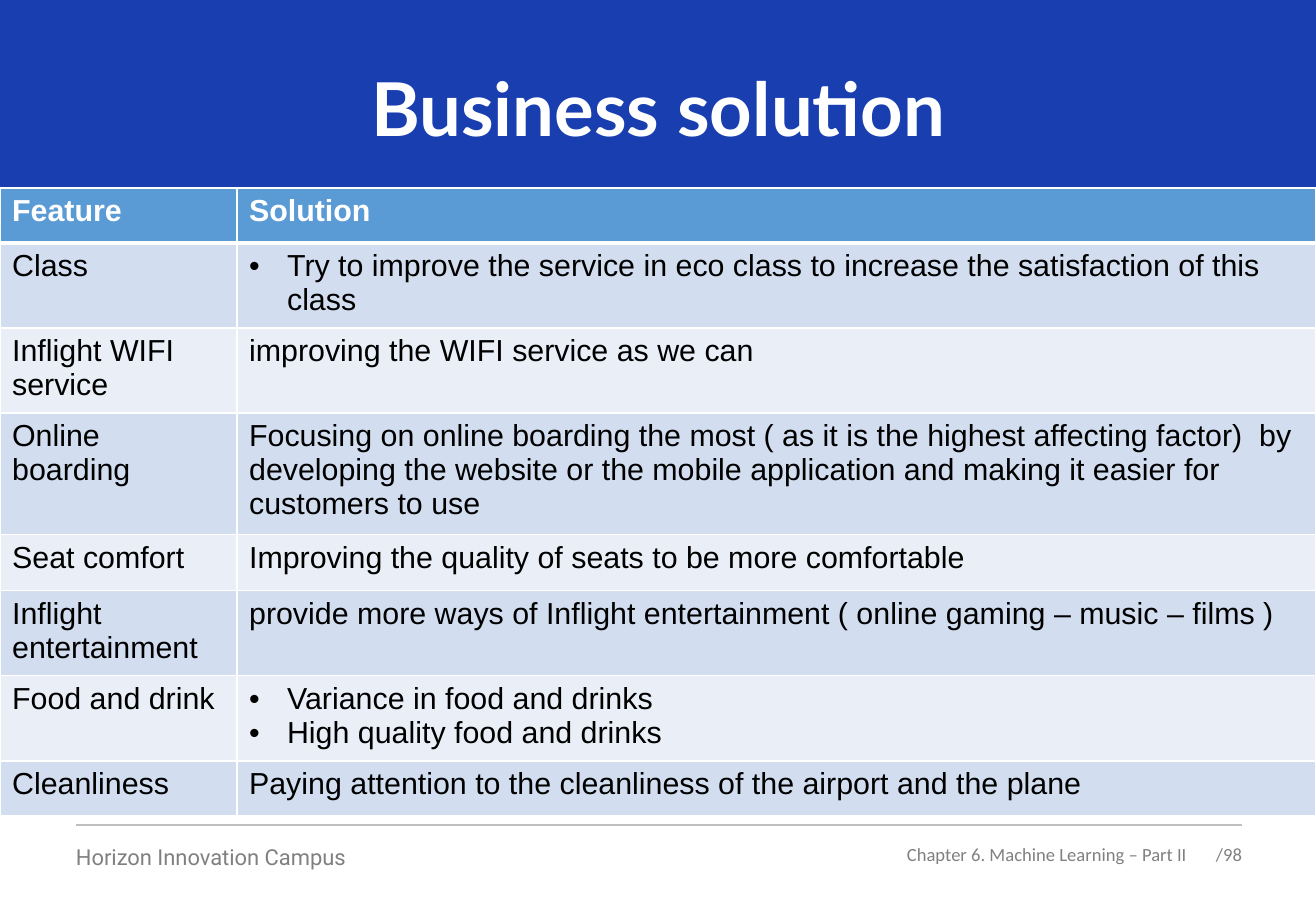
from lxml import etree
from pptx import Presentation
from pptx.dml.color import RGBColor
from pptx.enum.shapes import MSO_CONNECTOR, MSO_SHAPE
from pptx.enum.text import MSO_ANCHOR, PP_ALIGN
from pptx.oxml.ns import qn
from pptx.util import Pt

PX = 7526
LEFT, CENTER, RIGHT = PP_ALIGN.LEFT, PP_ALIGN.CENTER, PP_ALIGN.RIGHT
TOP, MIDDLE = MSO_ANCHOR.TOP, MSO_ANCHOR.MIDDLE
RECTANGLE, STRAIGHT = MSO_SHAPE.RECTANGLE, MSO_CONNECTOR.STRAIGHT
WHITE, BLACK, BLUE, GREY, RULE = "FFFFFF", "000000", "193EB0", "808080", "BFBFBF"
HEADER, BANDS = "5B9BD5", ("D2DEEF", "EAEFF7")
INDENT = 38

COLUMNS = (237, 1079)
ROWS = [
    (55, "Feature", "Solution"),
    (83, "Class", ["Try to improve the service in eco class to increase the satisfaction of this class"]),
    (82, "Inflight WIFI service", "improving the WIFI service as we can"),
    (117, "Online boarding",
     "Focusing on online boarding the most ( as it is the highest affecting factor)  by "
     "developing the website or the mobile application and making it easier for customers to use"),
    (56, "Seat comfort", "Improving the quality of seats to be more comfortable"),
    (82, "Inflight entertainment",
     "provide more ways of Inflight entertainment ( online gaming – music – films )"),
    (82, "Food and drink", ["Variance in food and drinks", "High quality food and drinks"]),
    (55, "Cleanliness", "Paying attention to the cleanliness of the airport and the plane"),
]


def px(*lengths):
    """Turn px lengths into EMU."""
    return [length * PX for length in lengths]


def color(value):
    """Turn a hex string into a colour."""
    return RGBColor.from_string(value)


def add_span(para, text, font, size, ink, bold=False):
    """Add one styled run to a paragraph."""
    span = para.add_run()
    span.text = text
    span.font.name = font
    span.font.size = Pt(size)
    span.font.bold = bold
    span.font.color.rgb = color(ink)


def add_label(page, box, text, font, size, ink, align=LEFT, anchor=MIDDLE, bold=False):
    """Place one line of text in a box without margins."""
    frame = page.shapes.add_textbox(*px(*box)).text_frame
    frame.word_wrap = True
    frame.vertical_anchor = anchor
    frame.margin_left = frame.margin_top = frame.margin_right = frame.margin_bottom = 0
    para = frame.paragraphs[0]
    para.alignment = align
    add_span(para, text, font, size, ink, bold)
    return para


def add_banner(page, box):
    """Draw the blue banner and its title."""
    left, top, width, height = box
    banner = page.shapes.add_shape(RECTANGLE, *px(*box))
    banner.shadow.inherit = False
    banner.fill.solid()
    banner.fill.fore_color.rgb = color(BLUE)
    banner.line.fill.background()
    title_box = (left + 66, top + 36, width - 131, height - 123)
    title = add_label(page, title_box, "Business solution", "Lato", 44, WHITE, CENTER, bold=True)
    title.line_spacing = 0.9


def add_borders(cell, bottom_width):
    """Draw white borders around a cell."""
    properties = cell._tc.get_or_add_tcPr()
    for side, width in (("L", 1), ("R", 1), ("T", 1), ("B", bottom_width)):
        line = etree.SubElement(properties, qn(f"a:ln{side}"), w=str(Pt(width)))
        fill = etree.SubElement(line, qn("a:solidFill"))
        etree.SubElement(fill, qn("a:srgbClr"), val=WHITE)


def add_bullet(para):
    """Give a paragraph a hanging bullet."""
    properties = para._p.get_or_add_pPr()
    properties.set("marL", str(INDENT * PX))
    properties.set("indent", str(-INDENT * PX))
    etree.SubElement(properties, qn("a:buFont"), typeface="Arial")
    etree.SubElement(properties, qn("a:buChar"), char="•")


def fill_cell(cell, content, row):
    """Style a cell and write its text, with bullets for a list."""
    is_header = row == 0
    add_borders(cell, 3 if is_header else 1)
    cell.fill.solid()
    cell.fill.fore_color.rgb = color(HEADER if is_header else BANDS[(row - 1) % 2])
    bulleted = isinstance(content, list)
    for index, text in enumerate(content if bulleted else [content]):
        frame = cell.text_frame
        para = frame.add_paragraph() if index else frame.paragraphs[0]
        if bulleted:
            add_bullet(para)
        add_span(para, text, "Arial", 18, WHITE if is_header else BLACK, is_header)


def add_solutions(page, box):
    """Build the table of features and solutions."""
    table = page.shapes.add_table(len(ROWS), len(COLUMNS), *px(*box)).table
    for column, width in zip(table.columns, COLUMNS):
        column.width = width * PX
    for row, (height, *contents) in enumerate(ROWS):
        table.rows[row].height = height * PX
        for column, content in enumerate(contents):
            fill_cell(table.cell(row, column), content, row)


def add_footer(page, box):
    """Draw the footer rule, course name, chapter and page count."""
    left, top, width, height = box
    right = left + width
    rule = page.shapes.add_connector(STRAIGHT, *px(left, top, right, top))
    rule.line.color.rgb = color(RULE)
    rule.line.width = Pt(0.75)
    etree.SubElement(rule._element.spPr, qn("a:effectLst"))
    add_label(page, (left, top + 19, 384, 27), "Horizon Innovation Campus", "Roboto", 13, GREY, anchor=TOP)
    add_label(page, (right - 398, top + 18, 343, 22), "Chapter 6. Machine Learning – Part II",
              "Calibri", 11, GREY, RIGHT)
    add_label(page, (right - 72, top + 7, 72, height - 7), "/98", "Calibri", 11, GREY, RIGHT)


def main():
    """Build and save the slide."""
    deck = Presentation()
    deck.slide_width, deck.slide_height = px(1316, 911)
    page = deck.slides.add_slide(deck.slide_layouts[6])
    add_banner(page, (0, 0, 1316, 275))
    add_footer(page, (76, 825, 1166, 52))
    add_solutions(page, (0, 188, sum(COLUMNS), sum(row[0] for row in ROWS)))
    deck.save("out.pptx")


if __name__ == "__main__":
    main()
